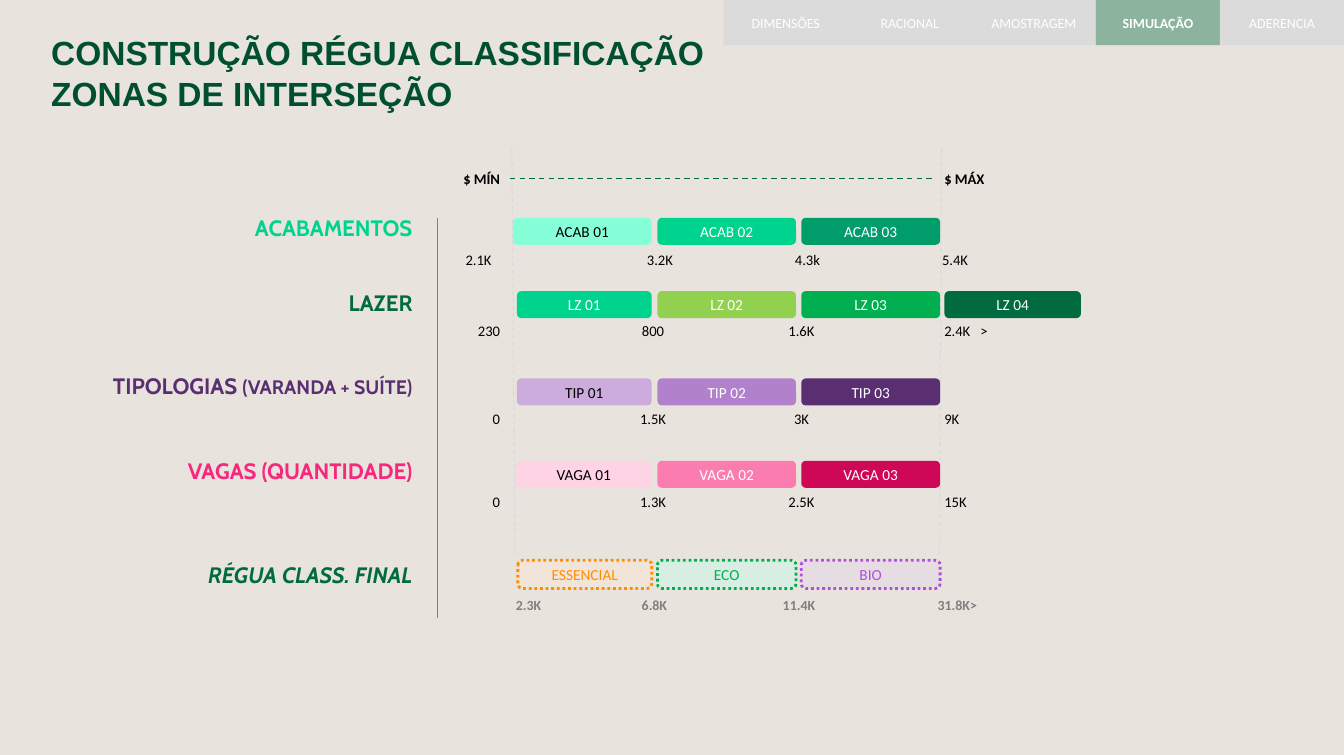
from lxml import etree
from pptx import Presentation
from pptx.dml.color import RGBColor
from pptx.enum.dml import MSO_LINE
from pptx.enum.shapes import MSO_CONNECTOR, MSO_SHAPE
from pptx.enum.text import MSO_ANCHOR, MSO_AUTO_SIZE, PP_ALIGN
from pptx.oxml.ns import qn
from pptx.util import Pt

COLORS = {
    "background": "E8E3DD", "title": "00502F", "tab": "DBDBDB",
    "white": "FFFFFF", "black": "000000", "gray": "808080", "guide": "D9D9D9",
    "forest": "006B3F", "scale": "00693E", "mint": "86FFD8", "jade": "00D38D",
    "teal": "009D6A", "lime": "92D050", "green": "00B050",
    "lilac": "CBACDC", "violet": "B181CB", "purple": "592F71",
    "blush": "FED3E4", "pink": "FB7DAF", "crimson": "CF0757", "magenta": "F7287C",
    "peach": "FFE8D3", "orange": "FF8D03", "aqua": "C3FFEB",
    "lavender": "E5D5EE", "orchid": "B14FDA",
}
LEFT, CENTER, RIGHT = PP_ALIGN.LEFT, PP_ALIGN.CENTER, PP_ALIGN.RIGHT


def format_text(shape, size, color, align, bold=False, italic=False, font="Calibri"):
    shape.text_frame.word_wrap = True
    for paragraph in shape.text_frame.paragraphs:
        paragraph.alignment = align
        for run in paragraph.runs:
            run.font.name = font
            run.font.size = Pt(size)
            run.font.bold = bold
            run.font.italic = italic
            run.font.color.rgb = RGBColor.from_string(COLORS[color])


def add_block(kind, left, top, width, height, text, fill, opaque=True):
    shape = slide.shapes.add_shape(kind, Pt(left), Pt(top), Pt(width), Pt(height))
    shape.shadow.inherit = False
    shape.line.fill.background()
    shape.fill.solid()
    shape.fill.fore_color.rgb = RGBColor.from_string(COLORS[fill])
    if not opaque:
        color = shape.fill._xPr.find(".//" + qn("a:srgbClr"))
        etree.SubElement(color, qn("a:alpha"), val="40000")
    shape.text_frame.text = text
    shape.text_frame.vertical_anchor = MSO_ANCHOR.MIDDLE
    return shape


presentation = Presentation()
presentation.slide_width = Pt(964.08)
presentation.slide_height = Pt(541.44)
slide = presentation.slides.add_slide(presentation.slide_layouts[5])
slide.background.fill.solid()
slide.background.fill.fore_color.rgb = RGBColor.from_string(COLORS["background"])

# Title
title = slide.shapes.title
title.left, title.top, title.width, title.height = Pt(36.7), Pt(17.3), Pt(560), Pt(62)
title.text_frame.text = "CONSTRUÇÃO RÉGUA CLASSIFICAÇÃO\nZONAS DE INTERSEÇÃO"
title.text_frame.vertical_anchor = MSO_ANCHOR.TOP
title.text_frame.auto_size = MSO_AUTO_SIZE.NONE
title.text_frame.margin_left = title.text_frame.margin_right = 0
title.text_frame.margin_top = Pt(6)
format_text(title, 24, "title", LEFT, bold=True, font="Arial")

# Navigation tabs
TAB_WIDTH = 89
for index, name in enumerate(["DIMENSÕES", "RACIONAL", "AMOSTRAGEM", "SIMULAÇÃO", "ADERENCIA"]):
    active = name == "SIMULAÇÃO"
    tab = add_block(MSO_SHAPE.RECTANGLE, 519.1 + index * TAB_WIDTH, 0, TAB_WIDTH, 32.4,
                    name, "forest" if active else "tab", opaque=not active)
    format_text(tab, 10, "white", CENTER, bold=active)

# Guides, price scale and divider: start, end, colour, width, dash
for x1, y1, x2, y2, color, width, dash in [
    (367.2, 105.8, 369.4, 398.9, "guide", 0.75, MSO_LINE.DASH),
    (675.4, 105.8, 673.9, 398.9, "guide", 0.75, MSO_LINE.DASH),
    (365.8, 128.2, 670.3, 128.2, "scale", 1, MSO_LINE.DASH),
    (313.9, 156.2, 313.9, 443.5, "gray", 0.75, MSO_LINE.SOLID),
]:
    line = slide.shapes.add_connector(MSO_CONNECTOR.STRAIGHT, Pt(x1), Pt(y1), Pt(x2), Pt(y2))
    line.line.color.rgb = RGBColor.from_string(COLORS[color])
    line.line.width = Pt(width)
    line.line.dash_style = dash
    etree.SubElement(line._element.spPr, qn("a:effectLst"))

# Row labels: name, smaller note, top, colour
for name, note, top, color in [
    ("ACABAMENTOS", "", 150.5, "jade"),
    ("LAZER", "", 204.5, "forest"),
    ("TIPOLOGIAS ", "(VARANDA + SUÍTE)", 264.2, "purple"),
    ("VAGAS (QUANTIDADE)", "", 324.7, "magenta"),
    ("RÉGUA CLASS. FINAL", "", 399.6, "forest"),
]:
    label = slide.shapes.add_textbox(Pt(18), Pt(top), Pt(277.9), Pt(22.3))
    frame = label.text_frame
    frame.margin_left = frame.margin_right = frame.margin_bottom = 0
    frame.margin_top = Pt(2.9)
    frame.text = name
    paragraph = frame.paragraphs[0]
    paragraph.space_before = Pt(3)
    if note:
        paragraph.add_run().text = note
    format_text(label, 16, color, RIGHT, bold=True, italic="FINAL" in name, font="Cabin")
    for run in paragraph.runs[1:]:
        run.font.size = Pt(14)

# Class bars: top, left of the first bar, (name, fill, text colour)
COLUMN_LEFTS = [None, 471.6, 574.8, 677.5]
COLUMN_RIGHTS = [467.5, 571, 674.4, 775.4]
for top, first_left, bars in [
    (156.2, 367.9, [("ACAB 01", "mint", "black"), ("ACAB 02", "jade", "white"),
                    ("ACAB 03", "teal", "white")]),
    (208.8, 370.8, [("LZ 01", "jade", "white"), ("LZ 02", "lime", "white"),
                    ("LZ 03", "green", "white"), ("LZ 04", "forest", "white")]),
    (271.4, 370.8, [("TIP 01", "lilac", "black"), ("TIP 02", "violet", "white"),
                    ("TIP 03", "purple", "white")]),
    (330.5, 370.1, [("VAGA 01", "blush", "black"), ("VAGA 02", "pink", "white"),
                    ("VAGA 03", "crimson", "white")]),
    (401.8, 371.5, [("ESSENCIAL", "peach", "orange"), ("ECO", "aqua", "green"),
                    ("BIO", "lavender", "orchid")]),
]:
    final = top > 400
    for (name, fill, color), left, right in zip(bars, COLUMN_LEFTS, COLUMN_RIGHTS):
        left = left or first_left
        bar = add_block(MSO_SHAPE.ROUNDED_RECTANGLE, left, top, right - left,
                        20.2 if final else 19.4, name, fill, opaque=not final)
        format_text(bar, 11, color, CENTER)
        if final:
            bar.line.color.rgb = RGBColor.from_string(COLORS[color])
            bar.line.width = Pt(2)
            bar.line.dash_style = MSO_LINE.ROUND_DOT

# Limits under the bars: top, size, colour, bold, slots, texts
SLOTS = [(275.8, RIGHT), (423.4, CENTER), (529.9, CENTER), (670.3, LEFT), (696.2, LEFT)]
FINISH_SLOTS = [(326.9, LEFT), (428.4, CENTER), (534.2, CENTER), (640.1, CENTER)]
FINAL_SLOTS = [(305.3, RIGHT), (424.4, CENTER), (528.1, CENTER), (617.8, RIGHT)]
for top, size, color, bold, slots, texts in [
    (118.1, 10.5, "black", True, [SLOTS[0], SLOTS[3]], ["$ MÍN", "$ MÁX"]),
    (176.4, 10.5, "black", False, FINISH_SLOTS, ["2.1K", "3.2K", "4.3k", "5.4K"]),
    (227.5, 10.5, "black", False, SLOTS, ["230", "800", "1.6K", "2.4K", ">"]),
    (290.2, 10.5, "black", False, SLOTS, ["0", "1.5K", "3K", "9K"]),
    (349.9, 10.5, "black", False, SLOTS, ["0", "1.3K", "2.5K", "15K"]),
    (424.1, 10, "gray", True, FINAL_SLOTS, ["2.3K", "6.8K", "11.4K", "31.8K>"]),
]:
    for (left, align), text in zip(slots, texts):
        limit = slide.shapes.add_textbox(Pt(left), Pt(top), Pt(90), Pt(20.5))
        limit.text_frame.text = text
        format_text(limit, size, color, align, bold=bold)

presentation.save("out.pptx")
